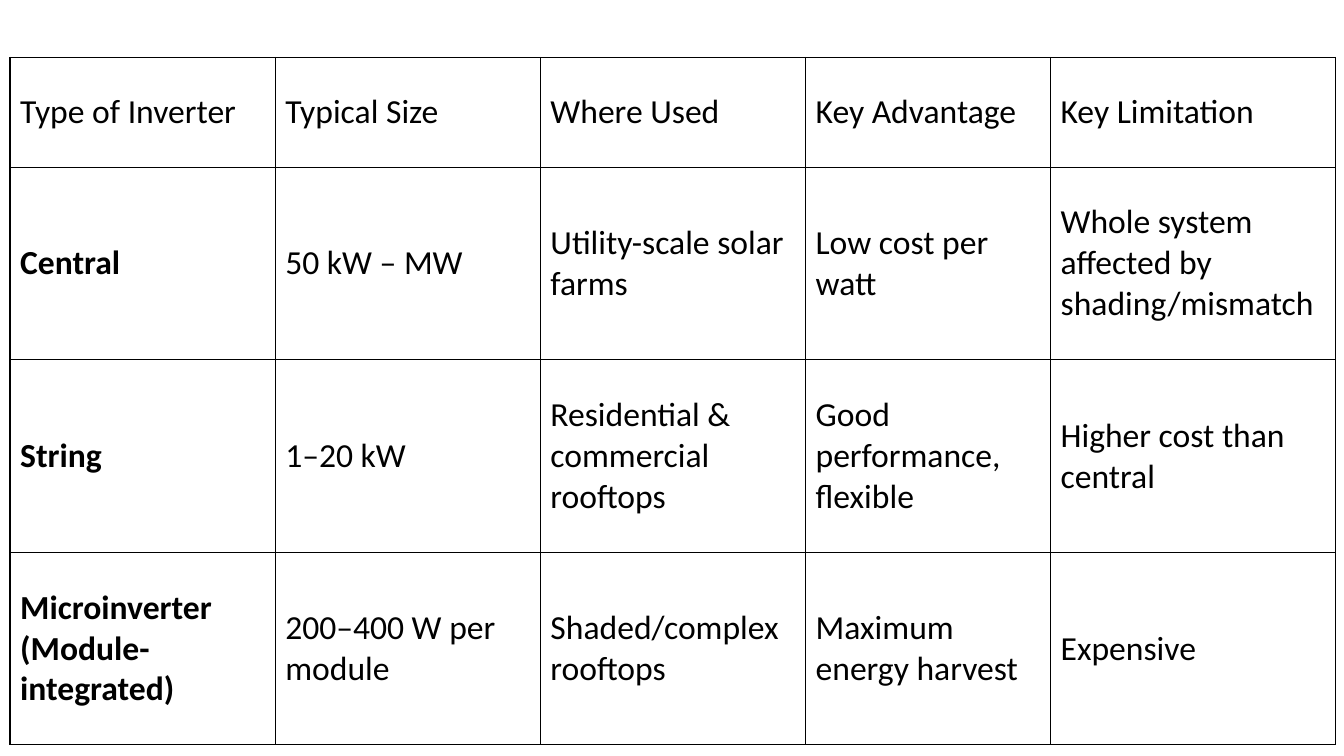
import dataclasses

import lxml.etree
import pptx
import pptx.dml.color
import pptx.enum.text
import pptx.oxml.ns
import pptx.util

Inches = pptx.util.Inches


@dataclasses.dataclass(frozen=True)
class Theme:
    font: str = "Calibri"
    size: int = 24
    ink: str = "000000"
    paper: str = "FFFFFF"
    rule: int = 1


WIDTHS = [2.63, 2.63, 2.63, 2.43, 2.83]
HEIGHTS = [1.09, 1.91, 1.91, 1.91]
ROWS = [
    ["Type of Inverter", "Typical Size", "Where Used", "Key Advantage", "Key Limitation"],
    ["Central", "50 kW – MW", "Utility-scale solar farms", "Low cost per watt",
     "Whole system affected by shading/mismatch"],
    ["String", "1–20 kW", "Residential & commercial rooftops",
     "Good performance, flexible", "Higher cost than central"],
    ["Microinverter (Module-integrated)", "200–400 W per module",
     "Shaded/complex rooftops", "Maximum energy harvest", "Expensive"],
]


class Painter:
    def __init__(self, slide, theme):
        self.slide = slide
        self.theme = theme

    def color(self, value):
        return pptx.dml.color.RGBColor.from_string(value)

    def border(self, cell):
        """Rule all four sides; borders must come before the cell fill."""
        props = cell._tc.get_or_add_tcPr()
        qn = pptx.oxml.ns.qn
        for side in ("lnL", "lnR", "lnT", "lnB"):
            line = lxml.etree.SubElement(props, qn(f"a:{side}"))
            line.set("w", str(pptx.util.Pt(self.theme.rule)))
            fill = lxml.etree.SubElement(line, qn("a:solidFill"))
            lxml.etree.SubElement(fill, qn("a:srgbClr")).set("val", self.theme.ink)

    def cell(self, cell, text, bold):
        cell.text_frame.text = text
        cell.vertical_anchor = pptx.enum.text.MSO_ANCHOR.MIDDLE
        self.border(cell)
        cell.fill.solid()
        cell.fill.fore_color.rgb = self.color(self.theme.paper)
        font = cell.text_frame.paragraphs[0].runs[0].font
        font.name = self.theme.font
        font.size = pptx.util.Pt(self.theme.size)
        font.bold = bold
        font.color.rgb = self.color(self.theme.ink)

    def table(self, left, top, widths, heights, rows):
        """Draw a ruled table whose first column is bold below the header."""
        table = self.slide.shapes.add_table(
            len(rows), len(widths), Inches(left), Inches(top),
            Inches(sum(widths)), Inches(sum(heights))).table
        table.horz_banding = False
        table.first_row = False
        for col, width in zip(table.columns, widths):
            col.width = Inches(width)
        for row, height in zip(table.rows, heights):
            row.height = Inches(height)
        for r, row in enumerate(rows):
            for c, text in enumerate(row):
                self.cell(table.cell(r, c), text, bold=r > 0 and c == 0)


def main():
    deck = pptx.Presentation()
    deck.slide_width = Inches(13.33)
    deck.slide_height = Inches(7.5)
    slide = deck.slides.add_slide(deck.slide_layouts[6])
    Painter(slide, Theme()).table(0.1, 0.57, WIDTHS, HEIGHTS, ROWS)
    deck.save("out.pptx")


if __name__ == "__main__":
    main()
